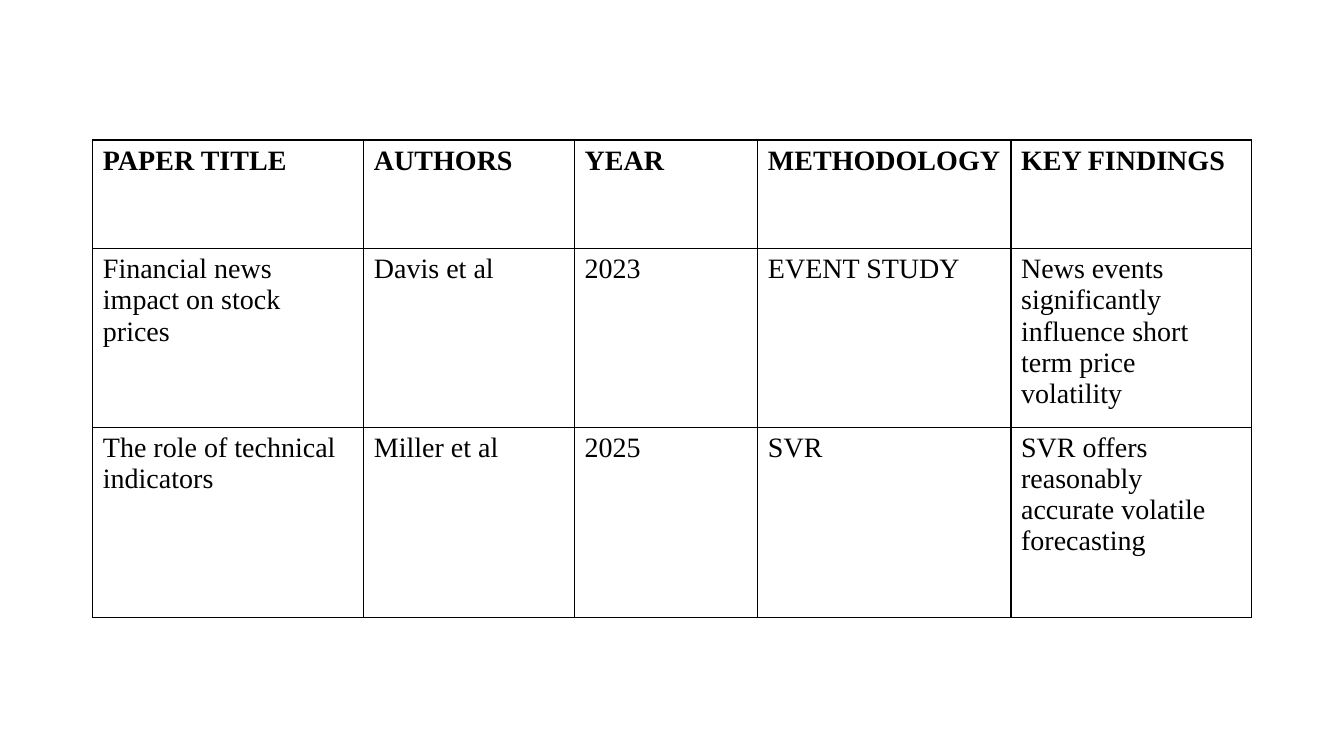
import pptx
import pptx.dml.color
import pptx.oxml
import pptx.oxml.ns
import pptx.util
from pptx.util import Cm, Pt

THEME = {
    "ink": pptx.dml.color.RGBColor(0, 0, 0),
    "paper": pptx.dml.color.RGBColor(255, 255, 255),
    "font": "Times New Roman",
    "size": Pt(20),
    "border": Pt(1),
}
COLUMN_WIDTHS = [6.83, 5.31, 4.62, 6.38, 6.05]
ROW_HEIGHTS = [2.74, 4.5, 4.78]
PAPERS = [
    ["PAPER TITLE", "AUTHORS", "YEAR", "METHODOLOGY", "KEY FINDINGS"],
    ["Financial news impact on stock prices", "Davis et al", "2023", "EVENT STUDY",
     "News events significantly influence short term price volatility"],
    ["The role of technical indicators", "Miller et al", "2025", "SVR",
     "SVR offers reasonably accurate volatile forecasting"],
]


def add_borders(cell):
    tcPr = cell._tc.get_or_add_tcPr()
    for side in ("lnL", "lnR", "lnT", "lnB"):
        tcPr.append(pptx.oxml.parse_xml(
            f'<a:{side} {pptx.oxml.ns.nsdecls("a")} w="{THEME["border"]}">'
            f'<a:solidFill><a:srgbClr val="{THEME["ink"]}"/></a:solidFill></a:{side}>'))


prs = pptx.Presentation()
prs.slide_width, prs.slide_height = Cm(33.87), Cm(19.05)
s = prs.slides.add_slide(prs.slide_layouts[6])

table = s.shapes.add_table(
    len(PAPERS), len(COLUMN_WIDTHS), Cm(2.34), Cm(3.53),
    Cm(sum(COLUMN_WIDTHS)), Cm(sum(ROW_HEIGHTS))).table
table.horz_banding = False
for column, width in zip(table.columns, COLUMN_WIDTHS):
    column.width = Cm(width)

for i, (row, height, texts) in enumerate(zip(table.rows, ROW_HEIGHTS, PAPERS)):
    row.height = Cm(height)
    text_format = {"name": THEME["font"], "size": THEME["size"], "bold": i == 0}
    for cell, text in zip(row.cells, texts):
        add_borders(cell)
        cell.fill.solid()
        cell.fill.fore_color.rgb = THEME["paper"]
        r = cell.text_frame.paragraphs[0].add_run()
        r.text = text
        r.font.color.rgb = THEME["ink"]
        for key, value in text_format.items():
            setattr(r.font, key, value)

prs.save("out.pptx")
